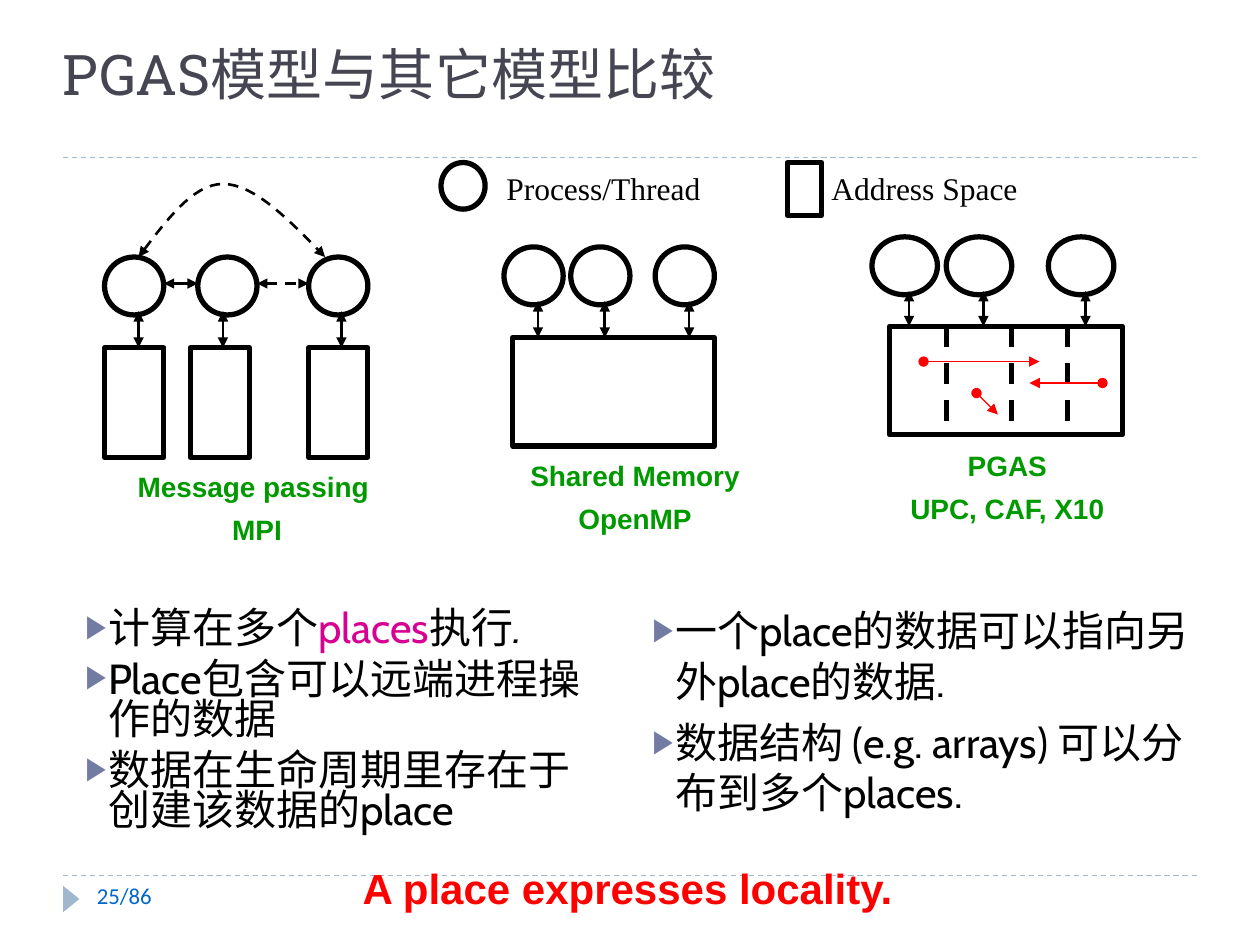
from lxml.etree import SubElement
from pptx import Presentation
from pptx.dml.color import RGBColor
from pptx.enum.dml import MSO_LINE
from pptx.enum.shapes import MSO_CONNECTOR, MSO_SHAPE
from pptx.enum.text import MSO_ANCHOR, PP_ALIGN
from pptx.oxml.ns import qn
from pptx.util import Inches, Pt

BLACK = RGBColor(0x00, 0x00, 0x00)
RED = RGBColor(0xFF, 0x00, 0x00)
GREEN = RGBColor(0x00, 0x99, 0x00)
MAGENTA = RGBColor(0xD6, 0x00, 0x93)
SLATE = RGBColor(0x46, 0x46, 0x53)
PALE_BLUE = RGBColor(0x9F, 0xB8, 0xCD)
NUMBER_BLUE = RGBColor(0x00, 0x66, 0xCC)
BULLET = "727CA3"

COLS, ROWS = 100, 75


def add_bullet(p):
    pPr = p._p.get_or_add_pPr()
    pPr.set("marL", str(Inches(0.18)))
    pPr.set("indent", str(-Inches(0.18)))
    color = SubElement(pPr, qn("a:buClr"))
    SubElement(color, qn("a:srgbClr"), val=BULLET)
    SubElement(pPr, qn("a:buSzPct"), val="76000")
    SubElement(pPr, qn("a:buFont"), typeface="Arial")
    SubElement(pPr, qn("a:buChar"), char="▶")


def write(tf, paragraphs, font="Cabin", size=24, color=BLACK, bold=False,
          align=PP_ALIGN.LEFT, spacing=None, before=0, bullet=False):
    """Fill a frame; a paragraph is a string or a list of (text, font changes)."""
    for i, runs in enumerate(paragraphs):
        p = tf.add_paragraph() if i else tf.paragraphs[0]
        if bullet:
            add_bullet(p)
        p.alignment = align
        if spacing:
            p.line_spacing = spacing
        if i and before:
            p.space_before = Pt(before)
        for text, changes in [(runs, {})] if isinstance(runs, str) else runs:
            r = p.add_run()
            r.text = text
            r.font.name, r.font.size, r.font.bold = font, Pt(size), bold
            r.font.color.rgb = changes.get("color", color)
            r.font.italic = changes.get("italic", False)


class Sketch:
    """Draws on one slide; positions are columns and rows of a 100 x 75 grid."""

    def __init__(self, prs):
        self.s = prs.slides.add_slide(prs.slide_layouts[6])
        self.col = prs.slide_width / COLS
        self.row = prs.slide_height / ROWS

    def place(self, x, y):
        return round(x * self.col), round(y * self.row)

    def stroke(self, line, color, width, dashed=False, head=None, tail=None):
        line.color.rgb = color
        line.width = Pt(width)
        if dashed:
            line.dash_style = MSO_LINE.DASH
        ln = line._get_or_add_ln()
        for tag, end in (("a:headEnd", head), ("a:tailEnd", tail)):
            if end:
                SubElement(ln, qn(tag), type=end)

    def outline(self, kind, x, y, w, h):
        sp = self.s.shapes.add_shape(kind, *self.place(x, y), *self.place(w, h))
        sp.shadow.inherit = False
        sp.fill.background()
        self.stroke(sp.line, BLACK, 3)

    def space(self, x, y, w, h):
        self.outline(MSO_SHAPE.RECTANGLE, x, y, w, h)

    def process(self, x, y, w=4.7, h=4.6):
        self.outline(MSO_SHAPE.OVAL, x, y, w, h)

    def marker(self, x, y, w, h):
        sp = self.s.shapes.add_shape(MSO_SHAPE.ISOSCELES_TRIANGLE,
                                     *self.place(x, y), *self.place(w, h))
        sp.rotation = 90
        sp.shadow.inherit = False
        sp.fill.solid()
        sp.fill.fore_color.rgb = PALE_BLUE
        sp.line.fill.background()

    def line(self, start, end, color=BLACK, width=1.5, **style):
        c = self.s.shapes.add_connector(MSO_CONNECTOR.STRAIGHT,
                                        *self.place(*start), *self.place(*end))
        self.stroke(c.line, color, width, **style)
        SubElement(c._element.spPr, qn("a:effectLst"))

    def link(self, start, end, dashed=False):
        self.line(start, end, dashed=dashed, head="triangle", tail="triangle")

    def reference(self, start, end):
        self.line(start, end, RED, 0.75, head="oval", tail="triangle")

    def arc(self, *curves, steps=16):
        """Dashed double arrow through cubic curves of four points each."""
        points = [curves[0][0]]
        for a, b, c, d in curves:
            for i in range(1, steps + 1):
                t = i / steps
                u = 1 - t
                points.append([u**3 * a[k] + 3 * u * u * t * b[k]
                               + 3 * u * t * t * c[k] + t**3 * d[k] for k in (0, 1)])
        points = [self.place(*point) for point in points]
        fb = self.s.shapes.build_freeform(*points[0])
        fb.add_line_segments(points[1:], close=False)
        sp = fb.convert_to_shape()
        sp.shadow.inherit = False
        sp.fill.background()
        self.stroke(sp.line, BLACK, 1.5, True, "triangle", "triangle")

    def text(self, x, y, w, h, *paragraphs, inset=(0.1, 0.05), wrap=True,
             anchor=MSO_ANCHOR.TOP, **style):
        tf = self.s.shapes.add_textbox(*self.place(x, y), *self.place(w, h)).text_frame
        tf.word_wrap = wrap
        tf.vertical_anchor = anchor
        tf.margin_left = tf.margin_right = Inches(inset[0])
        tf.margin_top = tf.margin_bottom = Inches(inset[1])
        write(tf, paragraphs, **style)

    def caption(self, x, y, w, *lines):
        self.text(x, y, w, 7.1, *lines, inset=(0.14, 0.07), font="Arial", size=16,
                  color=GREEN, bold=True, align=PP_ALIGN.CENTER, spacing=0.8, before=9)

    def legend(self, x, w, name):
        self.text(x, 12.9, w, 4.1, name, wrap=False, font="Times New Roman", size=18)


def draw_message_passing(sk):
    for space_x, process_x, link_x in ((8.3, 8.3, 11), (15.1, 15.7, 17.7),
                                       (24.5, 24.5, 27.1)):
        sk.space(space_x, 27.6, 4.7, 8.7)
        sk.process(process_x, 20.4)
        sk.link((link_x, 24.7), (link_x, 27.6))
    sk.arc([(11, 20.4), (13.2, 17.5), (15.3, 14.6), (17.7, 14.6)],
           [(17.7, 14.6), (20.2, 14.6), (23, 17.5), (25.8, 20.4)])
    sk.link((13, 22.5), (15.7, 22.5))
    sk.link((20.4, 22.5), (24.5, 22.5), dashed=True)
    sk.caption(5, 37.1, 30.8, "Message passing ", "MPI")


def draw_shared_memory(sk):
    sk.space(40.7, 26.8, 16, 8.6)
    for x in (40, 45.3, 52):
        sk.process(x, 19.6)
        sk.link((x + 2.7, 23.9), (x + 2.7, 26.8))
    sk.caption(35, 36.2, 30.8, "Shared Memory", "OpenMP")


def draw_pgas(sk):
    sk.space(70.6, 25.9, 18.5, 8.6)
    for x in (69.2, 75.1, 83.2):
        sk.process(x, 18.8, w=5.2)
        sk.link((x + 2.95, 23.1), (x + 2.95, 25.9))
    for x in (75.1, 80.3, 84.7):
        sk.line((x, 25.9), (x, 34.6), width=3, dashed=True)
    sk.reference((73.3, 28.7), (82.5, 28.7))
    sk.reference((87.5, 30.4), (81.7, 30.4))
    sk.reference((77.5, 31.2), (79.2, 32.9))
    sk.caption(63.3, 35.4, 33.3, "PGAS", "UPC, CAF, X10")


def main():
    prs = Presentation()
    prs.slide_width, prs.slide_height = Inches(10), Inches(7.5)
    sk = Sketch(prs)

    for y in (69.5, 12.5):
        sk.line((5, y), (95, y), PALE_BLUE, 0.75, dashed=True)
    sk.marker(4.6, 70.7, 2.1, 1.3)
    sk.text(5, 0.6, 93, 7.9, "PGAS模型与其它模型比较", inset=(0, 0),
            anchor=MSO_ANCHOR.BOTTOM, font="Roboto Slab", size=32, color=SLATE)
    sk.text(6.7, 69.5, 21.7, 4, "25/86", font="Calibri", size=13, color=NUMBER_BLUE)

    sk.text(5.8, 48, 42.6, 17.6,
            [("计算在多个", {}), ("places", {"color": MAGENTA}), ("执行", {}),
             (".", {"italic": True})],
            "Place包含可以远端进程操作的数据",
            "数据在生命周期里存在于创建该数据的place",
            bullet=True, spacing=0.8, before=6)
    sk.text(50.8, 47.5, 47.1, 19.1,
            "一个place的数据可以指向另外place的数据.",
            "数据结构 (e.g. arrays) 可以分布到多个places.",
            bullet=True, before=6)
    sk.text(17.7, 68.7, 64.2, 4.2, "A place expresses locality.", font="Arial",
            color=RED, bold=True, align=PP_ALIGN.CENTER, spacing=0.8)

    sk.space(62.5, 12.9, 2.7, 4.2)
    sk.legend(65, 17, "Address Space")
    sk.process(35, 12.9, 3.5, 3.7)
    sk.legend(39.2, 17.6, "Process/Thread")

    draw_shared_memory(sk)
    draw_pgas(sk)
    draw_message_passing(sk)
    prs.save("out.pptx")


if __name__ == "__main__":
    main()
